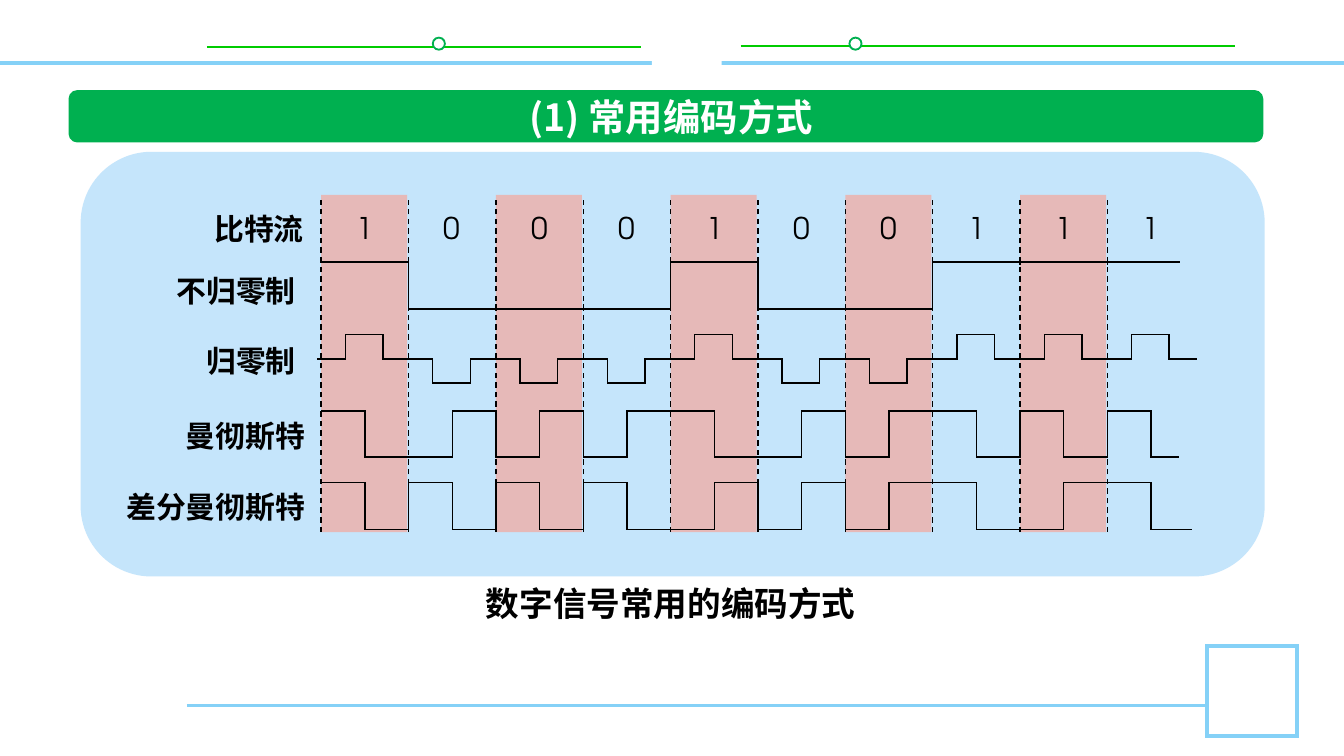
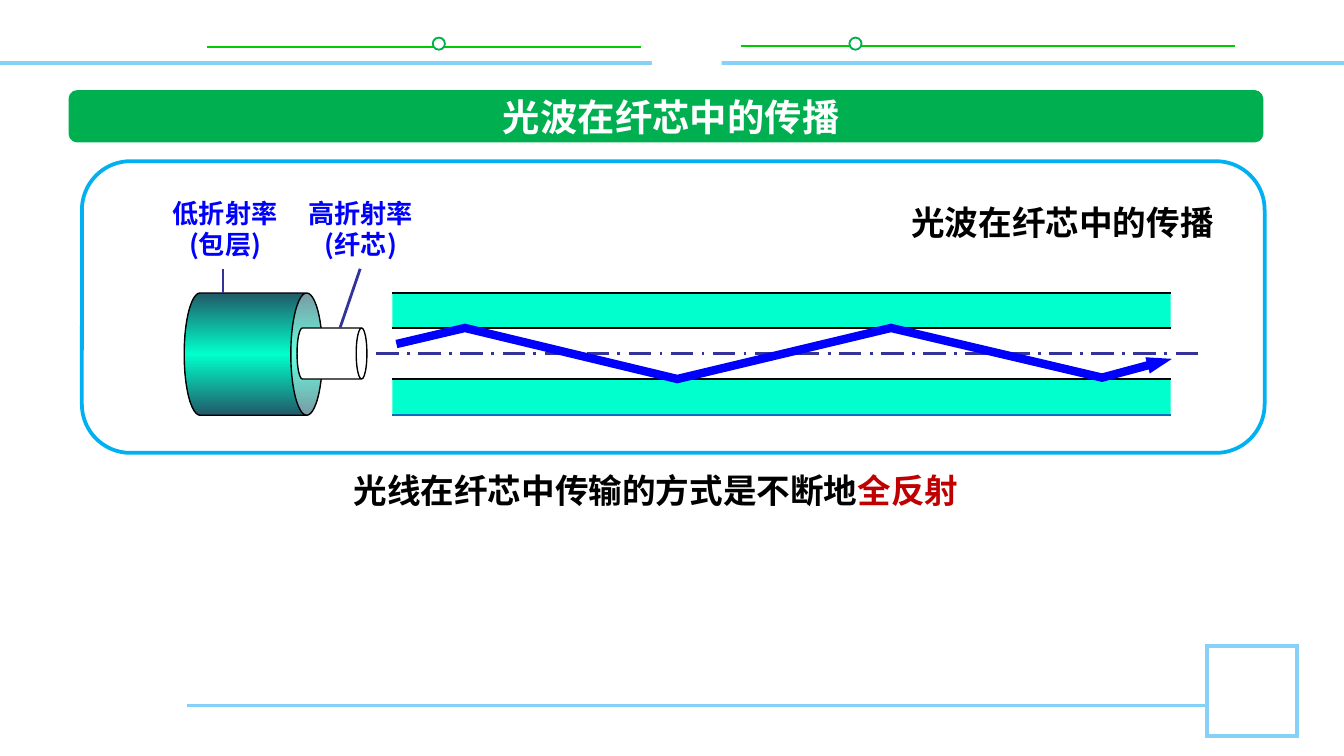
import copy
from dataclasses import dataclass
from itertools import pairwise

import pptx
import pptx.util
from lxml import etree
from pptx.dml.color import RGBColor
from pptx.enum.dml import MSO_LINE
from pptx.enum.shapes import MSO_CONNECTOR, MSO_SHAPE
from pptx.enum.text import MSO_ANCHOR, PP_ALIGN
from pptx.oxml.ns import qn
from pptx.util import Inches

COLORS = {
    "black": "000000", "white": "FFFFFF", "green": "00B050", "bright_green": "00CC00",
    "sky": "85D1F7", "panel": "C5E5FB", "panel_edge": "00B0F0", "pink": "E6B9B8",
    "mint": "00FFCC", "teal": "215968", "navy": "333399", "blue": "0000FF",
    "edge_blue": "0070C0", "red": "C00000",
}
CHINESE = "Noto Sans CJK SC"
DIGITS = "TeX Gyre Adventor"
Point = tuple[float, float]


@dataclass(frozen=True)
class Stroke:
    color: str
    weight: float = 0.75
    dash: MSO_LINE | None = None


@dataclass(frozen=True)
class Block:
    left: float
    top: float
    width: float
    height: float
    fill: str
    stroke: Stroke | None = None
    kind: MSO_SHAPE = MSO_SHAPE.RECTANGLE
    turn: float = 0
    adjust: float | None = None


@dataclass(frozen=True)
class Segment:
    start: Point
    end: Point
    stroke: Stroke


@dataclass(frozen=True)
class Label:
    """Each line is a list of (text, color) spans."""
    lines: list[list[tuple[str, str]]]
    left: float
    top: float
    width: float
    height: float
    size: float
    align: PP_ALIGN = PP_ALIGN.CENTER
    font: str = CHINESE
    bold: bool = True
    right_inset: float = 0


THIN = Stroke("black")
SKY_EDGE = Stroke("sky", 2)
GREEN_RULE = Stroke("bright_green", 1)
RING = Stroke("green", 1)

FRAME = [
    Segment((1.54, 0.35), (4.77, 0.35), GREEN_RULE),
    Block(3.22, 0.28, 0.09, 0.09, "white", RING, MSO_SHAPE.OVAL),
    Segment((5.51, 0.34), (9.19, 0.34), GREEN_RULE),
    Block(6.32, 0.28, 0.09, 0.09, "white", RING, MSO_SHAPE.OVAL),
    Segment((1.39, 5.25), (8.98, 5.25), Stroke("sky", 1.5)),
    Block(8.98, 4.81, 0.67, 0.67, "white", SKY_EDGE),
    Segment((0, 0.47), (10, 0.47), SKY_EDGE),
    Block(4.85, 0.14, 0.52, 0.51, "white"),
    Block(0.51, 0.67, 8.89, 0.39, "green", kind=MSO_SHAPE.ROUNDED_RECTANGLE),
]


def rgb(name: str) -> RGBColor:
    return RGBColor.from_string(COLORS[name])


def outline(shape):
    return shape.element.spPr.find(qn("a:ln"))


def apply_stroke(shape, stroke: Stroke) -> None:
    shape.line.color.rgb = rgb(stroke.color)
    shape.line.width = pptx.util.Pt(stroke.weight)
    if stroke.dash is not None:
        shape.line.dash_style = stroke.dash
    etree.SubElement(outline(shape), qn("a:miter"), lim="800000")


def draw_block(page, block: Block):
    shape = page.shapes.add_shape(
        block.kind, *map(Inches, (block.left, block.top, block.width, block.height)))
    shape.shadow.inherit = False
    shape.rotation = block.turn
    shape.fill.solid()
    shape.fill.fore_color.rgb = rgb(block.fill)
    if block.adjust is not None:
        shape.adjustments[0] = block.adjust
    if block.stroke:
        apply_stroke(shape, block.stroke)
    else:
        shape.line.fill.background()
    return shape


def draw_segment(page, segment: Segment) -> None:
    connector = page.shapes.add_connector(
        MSO_CONNECTOR.STRAIGHT, *map(Inches, segment.start + segment.end))
    apply_stroke(connector, segment.stroke)
    etree.SubElement(connector.element.spPr, qn("a:effectLst"))


def draw_trace(page, points: list[Point], stroke: Stroke = THIN):
    first, *rest = [(Inches(x), Inches(y)) for x, y in points]
    builder = page.shapes.build_freeform(*first, scale=1.0)
    builder.add_line_segments(rest, close=False)
    shape = builder.convert_to_shape()
    shape.shadow.inherit = False
    shape.fill.background()
    apply_stroke(shape, stroke)
    return shape


def write_label(box, label: Label) -> None:
    for name in ("left", "top", "width", "height"):
        setattr(box, name, Inches(getattr(label, name)))
    frame = box.text_frame
    frame.word_wrap = True
    insets = {"margin_left": 0, "margin_right": label.right_inset,
              "margin_top": 0.05, "margin_bottom": 0.05}
    for name, value in insets.items():
        setattr(frame, name, Inches(value))
    style = {"name": label.font, "size": pptx.util.Pt(label.size), "bold": label.bold}
    for index, line in enumerate(label.lines):
        para = frame.add_paragraph() if index else frame.paragraphs[0]
        para.alignment = label.align
        for text, color in line:
            span = para.add_run()
            span.text = text
            for name, value in style.items():
                setattr(span.font, name, value)
            span.font.color.rgb = rgb(color)
    for latin in list(box.element.iter(qn("a:latin"))):
        east_asian = etree.Element(qn("a:ea"), typeface=label.font)
        latin.addnext(east_asian)


def draw_label(page, label: Label) -> None:
    write_label(page.shapes.add_textbox(0, 0, 0, 0), label)


def draw_all(page, items: list) -> None:
    painters = {Block: draw_block, Segment: draw_segment, Label: draw_label}
    for item in items:
        painters[type(item)](page, item)


def add_page(deck, heading: str):
    page = deck.slides.add_slide(deck.slide_layouts.get_by_name("Title Only"))
    draw_all(page, FRAME)
    title = page.shapes.title
    title.element.getparent().append(title.element)
    write_label(title, Label([[(heading, "white")]], 1.37, 0.67, 7.25, 0.39, 20))
    title.text_frame.vertical_anchor = MSO_ANCHOR.MIDDLE
    return page


BITS = [int(bit) for bit in "1000100111"]
CELL = 0.65
EDGES = [2.39 + CELL * index for index in range(len(BITS))]


def step_points(levels: list[int], step: float, end: float, high: float, low: float) -> list[Point]:
    """Corner points of a square wave holding each level for one step."""
    heights = [high if level else low for level in levels]
    points = [(EDGES[0], heights[0])]
    for index, (before, after) in enumerate(pairwise(heights), start=1):
        if before != after:
            x = EDGES[0] + step * index
            points += [(x, before), (x, after)]
    return points + [(end, heights[-1])]


def manchester(bits: list[int]) -> list[int]:
    return [half for bit in bits for half in (bit, 1 - bit)]


def differential_manchester(bits: list[int]) -> list[int]:
    """A zero flips the level at the start of its cell, a one keeps it."""
    halves, level = [], 1
    for bit in bits:
        first = level if bit else 1 - level
        level = 1 - first
        halves += [first, level]
    return halves


def build_encoding_page(deck) -> None:
    page = add_page(deck, "(1) 常用编码方式")
    draw_all(page, [
        Block(0.6, 1.13, 8.81, 3.16, "panel", kind=MSO_SHAPE.ROUNDED_RECTANGLE),
        Label([[("数字信号常用的编码方式", "black")]], 3.39, 4.29, 3.2, 0.4, 18),
    ])
    draw_all(page, [Block(x, 1.45, 0.64, 2.51, "pink") for x in EDGES[::2]])
    for x, bit in zip(EDGES, BITS):
        draw_label(page, Label([[(str(bit), "black")]], x + 0.19, 1.51, 0.27, 0.3, 16,
                               font=DIGITS, bold=False))
        draw_segment(page, Segment((x, 3.96), (x, 1.49), Stroke("black", dash=MSO_LINE.DASH)))

    for x, (before, after) in zip(EDGES[1:], pairwise(BITS)):
        if before == after:
            bottom = 1.97 if after else 2.29
            draw_segment(page, Segment((x, bottom), (x, bottom - 0.03), THIN))

    half = CELL / 2
    draw_trace(page, step_points(BITS, CELL, 8.78, 1.95, 2.3))
    draw_trace(page, step_points(manchester(BITS), half, 8.77, 3.06, 3.4))
    draw_trace(page, step_points(differential_manchester(BITS), half, 8.87, 3.59, 3.94))
    rest = 2.67
    for x, bit in zip(EDGES, BITS):
        peak = rest - 0.18 if bit else rest + 0.18
        offsets = [(-0.03, rest), (0.18, rest), (0.18, peak),
                   (0.46, peak), (0.46, rest), (0.67, rest)]
        draw_trace(page, [(x + dx, y) for dx, y in offsets])

    rows = [("比特流", 1.52, 0.12), ("不归零制", 1.98, 0.18), ("归零制", 2.5, 0.18),
            ("曼彻斯特", 3.06, 0.11), ("差分曼彻斯特", 3.59, 0.11)]
    for text, top, inset in rows:
        draw_label(page, Label([[(text, "black")]], 0.83, top, 1.55, 0.37, 16,
                               PP_ALIGN.RIGHT, right_inset=inset))


def shade_cladding(can) -> None:
    can.fill.gradient()
    can.fill.gradient_angle = 0
    stop_list = can.element.find(f".//{qn('a:gsLst')}")
    stop_list.append(copy.deepcopy(stop_list[0]))
    for stop, position, color in zip(can.fill.gradient_stops, (0, 0.5, 1),
                                     ("teal", "mint", "teal")):
        stop.position = position
        stop.color.rgb = rgb(color)


def build_fibre_page(deck) -> None:
    page = add_page(deck, "光波在纤芯中的传播")
    left, right = 2.92, 8.71
    width = right - left
    draw_all(page, [
        Block(0.61, 1.2, 8.8, 2.17, "white", Stroke("panel_edge", 2),
              MSO_SHAPE.ROUNDED_RECTANGLE),
        Label([[("光波在纤芯中的传播", "black")]], 6.65, 1.45, 2.51, 0.4, 18),
        Block(left, 2.18, width, 0.27, "mint"),
        Block(left, 2.44, width, 0.38, "white"),
        Block(left, 2.82, width, 0.27, "mint"),
    ])
    shade_cladding(draw_block(
        page, Block(1.43, 2.12, 0.91, 1.03, "mint", THIN, MSO_SHAPE.CAN, 90, 0.26)))
    draw_block(page, Block(2.28, 2.37, 0.38, 0.52, "white", THIN, MSO_SHAPE.CAN, 90, 0.21))

    borders = [(2.18, THIN), (2.44, THIN), (2.82, THIN), (3.09, Stroke("edge_blue", 1))]
    draw_all(page, [Segment((left, y), (right, y), stroke) for y, stroke in borders])
    pointer = Stroke("navy", 1.5)
    draw_all(page, [
        Segment((2.8, 2.63), (8.93, 2.63), Stroke("navy", 1.5, MSO_LINE.LONG_DASH_DOT)),
        Segment((2.68, 2), (2.53, 2.44), pointer),
        Segment((1.66, 2), (1.66, 2.18), pointer),
    ])
    for x, name, part in [(2.19, "高折射率", "(纤芯)"), (1.18, "低折射率", "(包层)")]:
        draw_label(page, Label([[(name, "blue")], [(part, "blue")]], x, 1.42, 0.99, 0.57, 14))

    ray = draw_trace(page, [(2.95, 2.56), (3.46, 2.44), (5.04, 2.82), (6.63, 2.44),
                            (8.2, 2.81), (8.72, 2.67)], Stroke("blue", 4.5))
    etree.SubElement(outline(ray), qn("a:tailEnd"), type="triangle", w="sm", len="med")
    draw_label(page, Label([[("光线在纤芯中传输的方式是不断地", "black"), ("全反射", "red")]],
                           2.21, 3.45, 5.34, 0.4, 18))


def main() -> None:
    deck = pptx.Presentation()
    deck.slide_width = Inches(10)
    deck.slide_height = deck.slide_width * 9 // 16
    build_encoding_page(deck)
    build_fibre_page(deck)
    deck.save("out.pptx")


if __name__ == "__main__":
    main()
